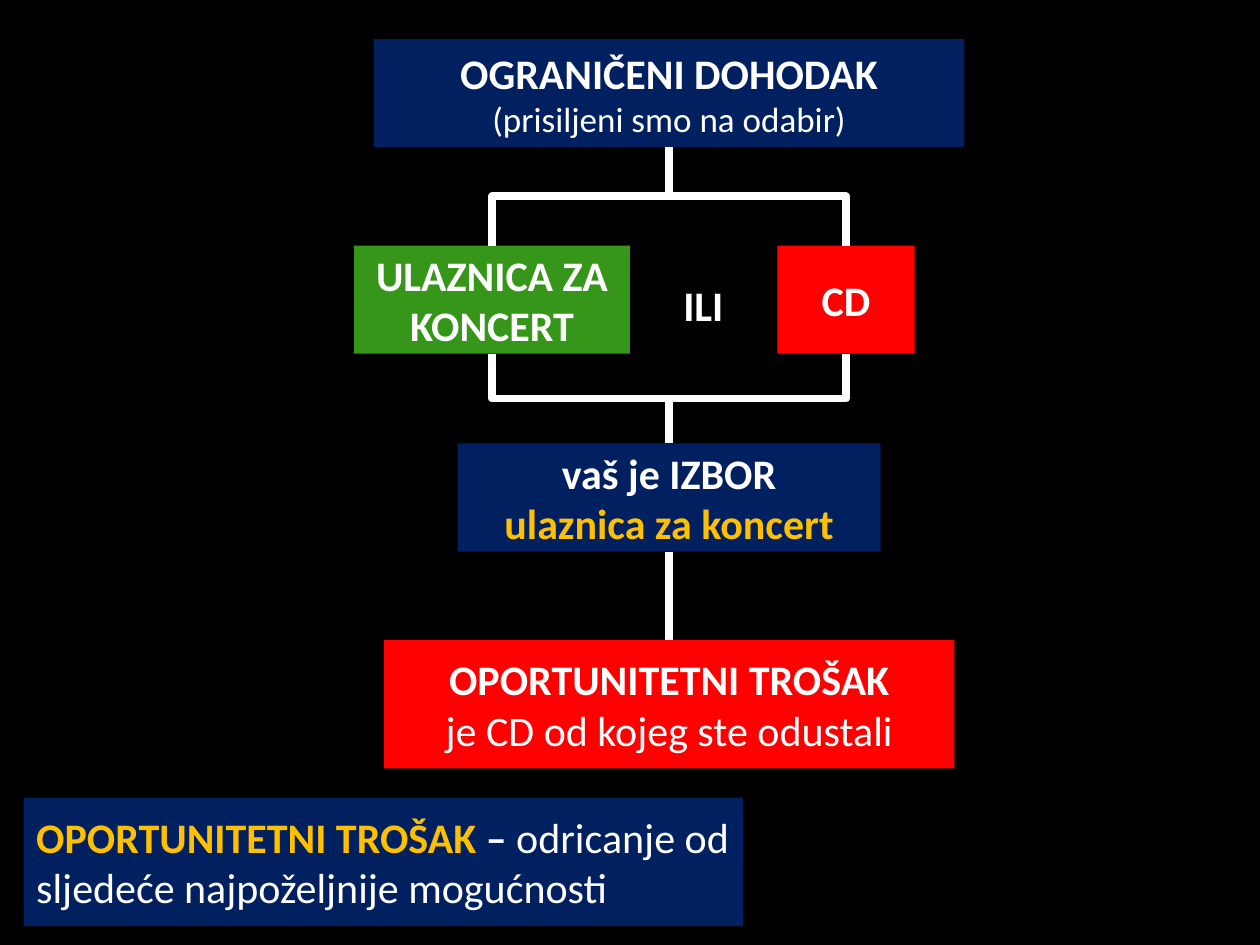
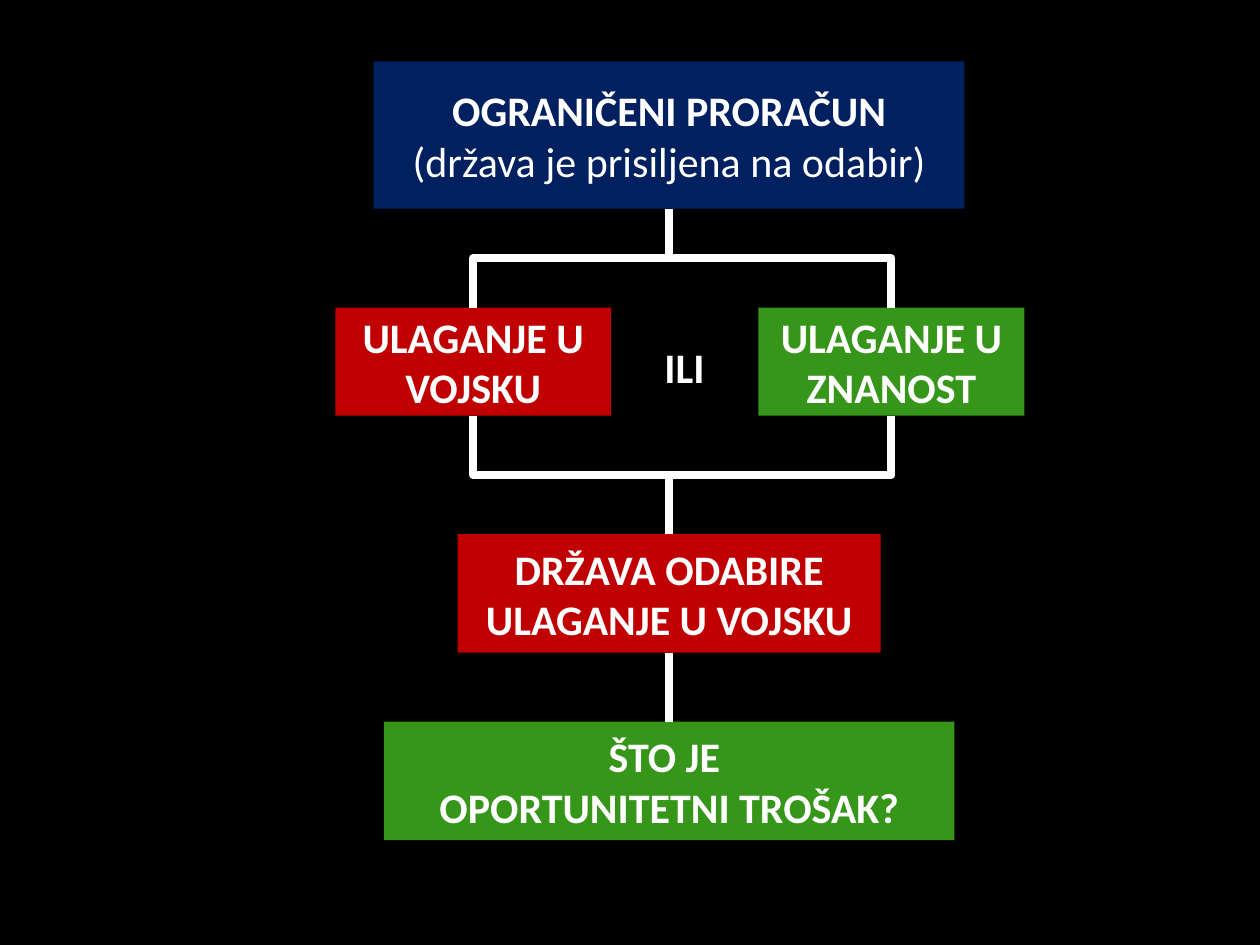
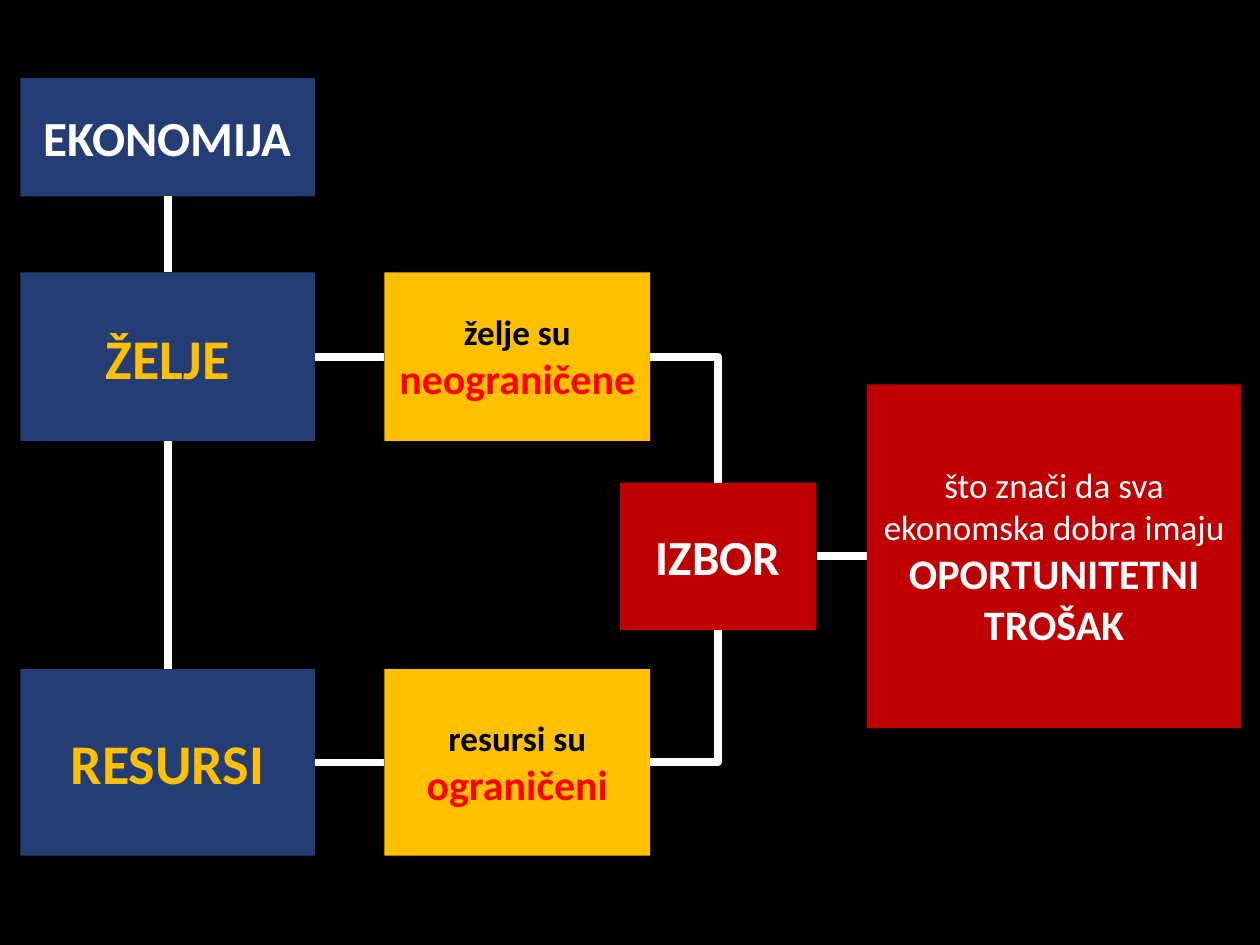
from pptx import Presentation
from pptx.dml.color import RGBColor
from pptx.enum.shapes import MSO_CONNECTOR as Wire, MSO_SHAPE as Shape
from pptx.enum.text import MSO_ANCHOR as Anchor, PP_ALIGN as Align
from pptx.oxml.ns import qn
from pptx.util import Cm, Pt

BLACK, WHITE = "000000", "FFFFFF"
NAVY, SLATE = "002060", "253D75"
RED, DARK_RED = "FF0000", "C00000"
GREEN, GOLD = "35961A", "FFC000"
FONT = "Calibri"
AXIS = 13.49  # centre line of the two decision trees
TOP, LEFT, BOTTOM, RIGHT = range(4)  # connection sites of a rectangle


def paint(color, code):
    color.rgb = RGBColor.from_string(code)


def span(text, size=24, code=WHITE, bold=True):
    return text, size, code, bold


def write(frame, paras, align):
    """Fill a text frame from paragraphs, each a list of spans."""
    frame.text = "\n".join(spans[0][0] for spans in paras)
    for para, spans in zip(frame.paragraphs, paras):
        para.alignment = align
        for text, *_ in spans[1:]:
            para.add_run().text = text
        for run, (_, size, code, bold) in zip(para.runs, spans):
            run.font.name, run.font.size, run.font.bold = FONT, Pt(size), bold
            paint(run.font.color, code)


def box(slide, at, fill, *paras, align=Align.CENTER):
    shape = slide.shapes.add_shape(Shape.RECTANGLE, *map(Cm, at))
    shape.shadow.inherit = False
    shape.fill.solid()
    paint(shape.fill.fore_color, fill)
    shape.line.fill.background()
    frame = shape.text_frame
    frame.word_wrap = True
    frame.vertical_anchor = Anchor.MIDDLE
    write(frame, paras, align)
    return shape


def level(slide, top, width, height, fill, *paras):
    """Add a box centred on the axis of the tree."""
    return box(slide, (AXIS - width / 2, top, width, height), fill, *paras)


def label(slide, mid, top, text):
    width = Cm(1.32)
    shape = slide.shapes.add_textbox(int(mid - width / 2), top, width, Cm(1.27))
    shape.text_frame.word_wrap = False
    write(shape.text_frame, [[span(text)]], Align.LEFT)


def wire(slide, kind, *ends):
    line = slide.shapes.add_connector(kind, *map(int, ends))
    line.line.width = Pt(4.5)
    paint(line.line.color, WHITE)
    props = line._element.spPr
    props.append(props.makeelement(qn("a:effectLst"), {}))
    return line


def link(slide, start, out, end, into):
    """Join two boxes with a straight line glued to their sites."""
    line = wire(slide, Wire.STRAIGHT, 0, 0, 0, 0)
    line.begin_connect(start, out)
    line.end_connect(end, into)


def center(shape):
    return shape.left + shape.width / 2, shape.top + shape.height / 2


def drop(slide, upper, lower):
    """Join bottom to top with an elbow that leaves vertically."""
    x1, y1 = center(upper)[0], upper.top + upper.height
    x2, y2 = center(lower)[0], lower.top
    mid_x, mid_y = (x1 + x2) / 2, (y1 + y2) / 2
    half_w, half_h = abs(x2 - x1) / 2, (y2 - y1) / 2
    turn, side = (270, -1) if x2 > x1 else (90, 1)
    line = wire(slide, Wire.ELBOW, mid_x - side * half_h, mid_y - half_w,
                mid_x + side * half_h, mid_y + half_w)
    line._element.spPr.find(qn("a:xfrm")).set("rot", str(turn * 60000))


def corner(slide, start, end):
    """Join a right side to a box above or below with a single bend."""
    x2, y1 = center(end)[0], center(start)[1]
    y2 = end.top if y1 < end.top else end.top + end.height
    line = wire(slide, Wire.ELBOW, start.left + start.width, y1, x2, y2)
    line._element.spPr.find(qn("a:prstGeom")).set("prst", "bentConnector2")


def tree(slide, head, left, right, pick, cost):
    """Wire a limit to two options, the choice and its cost."""
    for option in (left, right):
        drop(slide, head, option)
        drop(slide, option, pick)
    link(slide, pick, BOTTOM, cost, TOP)
    gap = (left.left + left.width + right.left) / 2
    label(slide, gap, left.top + Cm(0.55), "ILI")


def income(slide):
    head = level(slide, 0.79, 11.91, 2.18, NAVY,
                 [span("OGRANIČENI DOHODAK")],
                 [span("(prisiljeni smo na odabir)", 20, bold=False)])
    ticket = box(slide, (7.14, 4.95, 5.56, 2.18), GREEN,
                 [span("ULAZNICA ZA KONCERT")])
    disc = box(slide, (15.67, 4.95, 2.77, 2.18), RED, [span("CD")])
    pick = level(slide, 8.94, 8.53, 2.18, NAVY, [span("vaš je IZBOR")],
                 [span("ulaznica za koncert", code=GOLD)])
    cost = level(slide, 12.9, 11.5, 2.59, RED,
                 [span("OPORTUNITETNI TROŠAK")],
                 [span("je CD od kojeg ste odustali", bold=False)])
    tree(slide, head, ticket, disc, pick, cost)
    box(slide, (0.48, 16.08, 14.5, 2.59), NAVY,
        [span("OPORTUNITETNI TROŠAK", code=GOLD), span(" – "),
         span("odricanje od sljedeće najpoželjnije mogućnosti", bold=False)],
        align=Align.LEFT)


def budget(slide):
    head = level(slide, 1.24, 11.91, 2.97, NAVY,
                 [span("OGRANIČENI PRORAČUN")],
                 [span("(država je prisiljena na odabir)", bold=False)])
    army = box(slide, (6.76, 6.2, 5.56, 2.18), DARK_RED,
               [span("ULAGANJE U VOJSKU")])
    science = box(slide, (15.29, 6.2, 5.36, 2.18), GREEN,
                  [span("ULAGANJE U ZNANOST")])
    pick = level(slide, 10.77, 8.53, 2.39, DARK_RED,
                 [span("DRŽAVA ODABIRE ULAGANJE U VOJSKU")])
    cost = level(slide, 14.55, 11.5, 2.39, GREEN, [span("ŠTO JE ")],
                 [span("OPORTUNITETNI TROŠAK?")])
    tree(slide, head, army, science, pick, cost)


def summary(slide):
    above = box(slide, (0.41, 1.57, 5.94, 2.39), SLATE,
                [span("EKONOMIJA", 28)])
    choice = box(slide, (12.5, 9.73, 3.96, 2.97), DARK_RED,
                 [span("IZBOR", 28)])
    cost = box(slide, (17.48, 7.75, 7.54, 6.93), DARK_RED,
               [span("što znači da sva ekonomska dobra imaju ", 20, bold=False),
                span("OPORTUNITETNI TROŠAK")])
    rows = [(5.49, 3.4, "ŽELJE", "želje su ", "neograničene"),
            (13.49, 3.76, "RESURSI", "resursi su ", "ograničeni")]
    for top, height, name, lead, trait in rows:
        topic = box(slide, (0.41, top, 5.94, height), SLATE,
                    [span(name, 32, GOLD)])
        fact = box(slide, (7.75, top, 5.36, height), GOLD,
                   [span(lead, 20, BLACK), span(trait, code=RED)])
        link(slide, above, BOTTOM, topic, TOP)
        link(slide, topic, RIGHT, fact, LEFT)
        corner(slide, fact, choice)
        above = topic
    link(slide, choice, RIGHT, cost, LEFT)


def main():
    deck = Presentation()
    deck.slide_width, deck.slide_height = Cm(25.4), Cm(19.05)
    back = deck.slide_master.background.fill
    back.solid()
    paint(back.fore_color, BLACK)
    for draw in (income, budget, summary):
        draw(deck.slides.add_slide(deck.slide_layouts[6]))
    deck.save("out.pptx")


if __name__ == "__main__":
    main()
